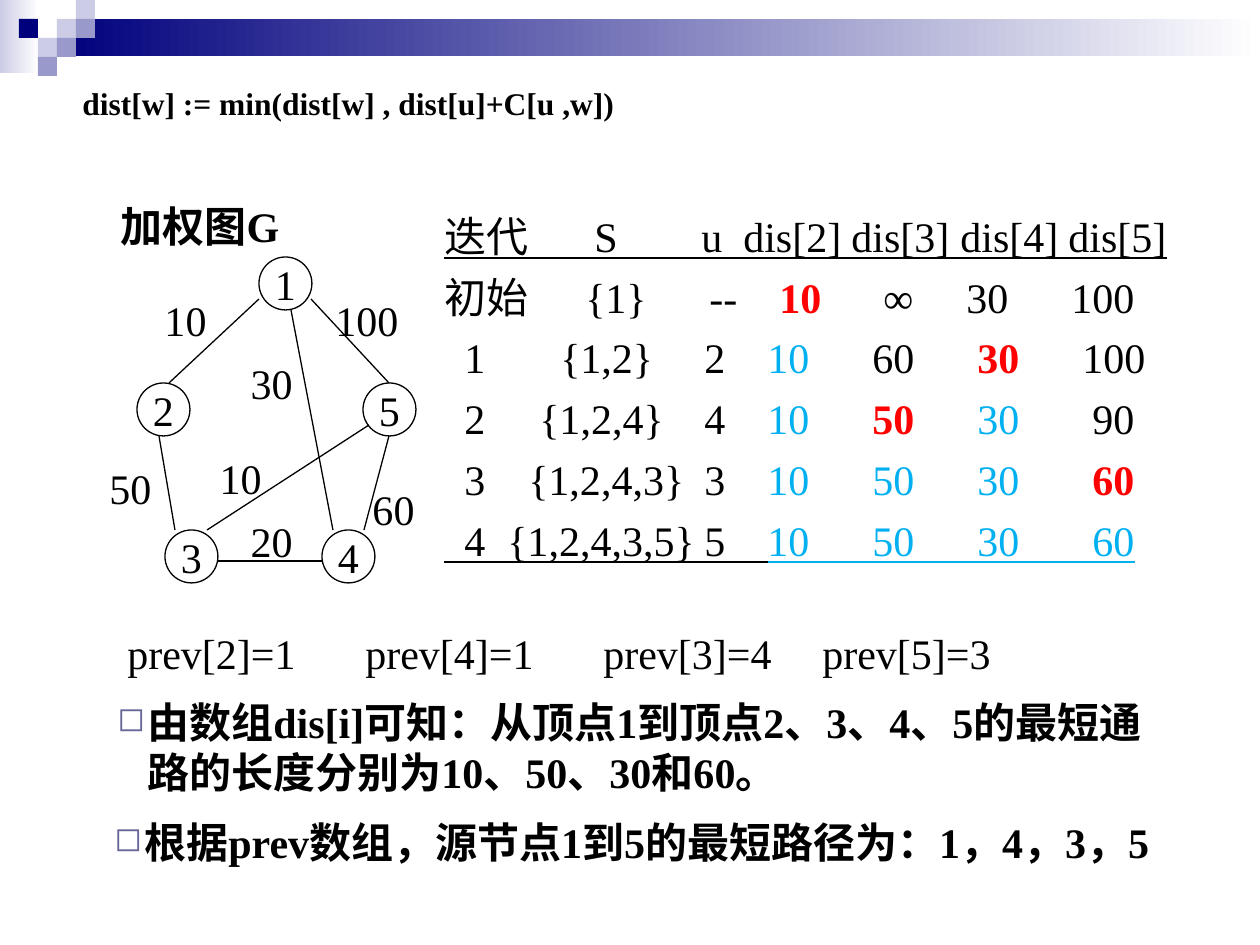
from dataclasses import dataclass

from lxml.etree import SubElement
from pptx import Presentation
from pptx.dml.color import RGBColor as RGB
from pptx.enum.shapes import MSO_CONNECTOR as CONN, MSO_SHAPE as SHAPE
from pptx.enum.text import MSO_ANCHOR as ANCHOR, PP_ALIGN as ALIGN
from pptx.oxml.ns import qn
from pptx.util import Emu, Pt


@dataclass(frozen=True)
class Theme:
    font: str = "Times New Roman"
    ink: str = "000000"
    red: str = "FF0000"
    blue: str = "00B0F0"
    navy: str = "00007D"
    pale: str = "CCCCE6"
    mid: str = "9999CC"
    white: str = "FFFFFF"
    bullet: str = "666699"
    body: int = 24
    formula: int = 18
    bullet_pct: int = 80
    row_gap: int = 6
    line: float = 0.75
    rule: float = 1.25


@dataclass(frozen=True)
class Run:
    text: str
    color: str = Theme.ink
    bold: bool = False


@dataclass(frozen=True)
class Row:
    stops: tuple[int, ...]
    runs: tuple[Run, ...]


@dataclass(frozen=True)
class Node:
    text: str
    x: int
    y: int


@dataclass(frozen=True)
class Line:
    x1: int
    y1: int
    x2: int
    y2: int
    color: str = Theme.ink
    weight: float = Theme.line


@dataclass(frozen=True)
class Label:
    text: str
    x: int
    y: int
    w: int = 67
    h: int = 63
    bold: bool = False
    size: int = Theme.body
    align: ALIGN = ALIGN.CENTER


T = Theme()
SCALE = 914400 / 126
CELL = 19
NODE = 53
TABLE_X, TABLE_INSET = 432, 13
HANG = 30


def px(n: int) -> Emu:
    return Emu(round(n * SCALE))


def add_run(p, run: Run, size: int = T.body) -> None:
    r = p.add_run()
    r.text = run.text
    f = r.font
    f.name, f.size, f.bold = T.font, Pt(size), run.bold
    f.color.rgb = RGB.from_string(run.color)


def add_box(s, x: int, y: int, w: int, h: int, wrap: bool = True):
    tf = s.shapes.add_textbox(px(x), px(y), px(w), px(h)).text_frame
    tf.word_wrap = wrap
    return tf


def add_block(s, x: int, y: int, w: int, h: int, color: str, fade: bool = False) -> None:
    sp = s.shapes.add_shape(SHAPE.RECTANGLE, px(x), px(y), px(w), px(h))
    sp.shadow.inherit = False
    sp.line.fill.background()
    if fade:
        sp.fill.gradient()
        sp.fill.gradient_angle = 0
        for stop, c in zip(sp.fill.gradient_stops, (color, T.white)):
            stop.color.rgb = RGB.from_string(c)
    else:
        sp.fill.solid()
        sp.fill.fore_color.rgb = RGB.from_string(color)


def add_node(s, node: Node) -> None:
    sp = s.shapes.add_shape(SHAPE.OVAL, px(node.x), px(node.y), px(NODE), px(NODE))
    sp.shadow.inherit = False
    sp.fill.background()
    sp.line.color.rgb = RGB.from_string(T.ink)
    sp.line.width = Pt(T.line)
    tf = sp.text_frame
    tf.word_wrap = False
    tf.vertical_anchor = ANCHOR.MIDDLE
    p = tf.paragraphs[0]
    p.alignment = ALIGN.CENTER
    add_run(p, Run(node.text))


def add_line(s, ln: Line) -> None:
    c = s.shapes.add_connector(CONN.STRAIGHT, px(ln.x1), px(ln.y1), px(ln.x2), px(ln.y2))
    c.line.color.rgb = RGB.from_string(ln.color)
    c.line.width = Pt(ln.weight)
    SubElement(c._element.spPr, qn("a:effectLst"))


def add_label(s, lab: Label) -> None:
    tf = add_box(s, lab.x, lab.y, lab.w, lab.h, wrap=False)
    tf.vertical_anchor = ANCHOR.MIDDLE
    p = tf.paragraphs[0]
    p.alignment = lab.align
    add_run(p, Run(lab.text, bold=lab.bold), lab.size)


def add_rows(s, rows: tuple[Row, ...]) -> None:
    tf = add_box(s, TABLE_X, 204, 766, 368)
    for i, row in enumerate(rows):
        p = tf.add_paragraph() if i else tf.paragraphs[0]
        tabs = SubElement(p._p.get_or_add_pPr(), qn("a:tabLst"))
        for x in row.stops:
            SubElement(tabs, qn("a:tab"), pos=str(px(x - TABLE_X - TABLE_INSET)), algn="l")
        if i:
            p.space_before = Pt(T.row_gap)
        for run in row.runs:
            add_run(p, run)


def add_bullet(s, x: int, y: int, text: str) -> None:
    p = add_box(s, x, y, 1084, 113).paragraphs[0]
    pPr = p._p.get_or_add_pPr()
    pPr.set("marL", str(px(HANG)))
    pPr.set("indent", str(-px(HANG)))
    SubElement(SubElement(pPr, qn("a:buClr")), qn("a:srgbClr"), val=T.bullet)
    SubElement(pPr, qn("a:buSzPct"), val=str(T.bullet_pct * 1000))
    SubElement(pPr, qn("a:buChar"), char="◻")
    add_run(p, Run(text, bold=True))


def hot(text: str) -> Run:
    return Run(text, T.red, bold=True)


def done(text: str) -> Run:
    return Run(text, T.blue)


STOPS = (705, 768, 873, 978)
SQUARES = ((3, 1, T.pale), (4, 0, T.pale), (4, 1, T.mid), (2, 2, T.pale),
           (1, 1, T.navy), (3, 2, T.mid), (2, 3, T.mid))
ROWS = (
    Row((595, 702, 744, 852, 961, 1069),
        (Run("迭代\tS\tu\tdis[2]\tdis[3]\tdis[4]\tdis[5]"),)),
    Row((586, 710, 780, 884, 967, 1072),
        (Run("初始\t{1}\t--\t"), hot("10"), Run("\t∞\t30\t100"))),
    Row((465, 561, *STOPS, 1083),
        (Run("\t1\t{1,2}\t2\t"), done("10"), Run("\t60\t"), hot("30"), Run("\t100"))),
    Row((465, 540, *STOPS, 1093),
        (Run("\t2\t{1,2,4}\t4\t"), done("10\t"), hot("50"), done("\t30"), Run("\t90"))),
    Row((465, 529, *STOPS, 1093),
        (Run("\t3\t{1,2,4,3}\t3\t"), done("10\t50\t30\t"), hot("60"))),
    Row((465, 508, *STOPS, 1093),
        (Run("\t4\t{1,2,4,3,5}\t5\t"), done("10\t50\t30\t60"))),
)
RULES = (Line(444, 258, 1167, 258, T.ink, T.rule), Line(444, 562, 768, 562, T.ink, T.rule),
         Line(768, 562, 1135, 562, T.blue, T.rule))
NODES = (Node("1", 259, 257), Node("2", 137, 383), Node("5", 363, 383),
         Node("4", 322, 530), Node("3", 165, 530))
EDGES = (Line(259, 299, 169, 383), Line(159, 436, 175, 530), Line(217, 561, 322, 561),
         Line(389, 436, 364, 530), Line(311, 299, 389, 383), Line(291, 310, 333, 530),
         Line(207, 530, 369, 425))
LABELS = (
    Label("10", 152, 288), Label("20", 238, 509), Label("50", 97, 456),
    Label("100", 323, 288, 88), Label("30", 238, 351), Label("10", 207, 446),
    Label("60", 360, 477), Label("加权图G", 103, 194, 194, bold=True),
    Label("dist[w] := min(dist[w] , dist[u]+C[u ,w])", 70, 78, 565, 50,
          bold=True, size=T.formula, align=ALIGN.LEFT),
    *(Label(text, x, 621, 200, align=ALIGN.LEFT) for text, x in (
        ("prev[2]=1", 115), ("prev[4]=1", 353), ("prev[3]=4", 591), ("prev[5]=3", 810))),
)


def main() -> None:
    prs = Presentation()
    prs.slide_width, prs.slide_height = px(1260), px(945)
    s = prs.slides.add_slide(prs.slide_layouts[6])
    add_block(s, 0, 0, 39, 73, T.pale, fade=True)
    add_block(s, 57, 19, 1203, 37, T.navy, fade=True)
    for col, row, color in SQUARES:
        add_block(s, col * CELL, row * CELL, CELL, CELL, color)
    add_rows(s, ROWS)
    for node in NODES:
        add_node(s, node)
    for line in RULES + EDGES:
        add_line(s, line)
    for lab in LABELS:
        add_label(s, lab)
    add_bullet(s, 105, 690, "由数组dis[i]可知：从顶点1到顶点2、3、4、5的最短通路的长度分别为10、50、30和60。")
    add_bullet(s, 102, 810, "根据prev数组，源节点1到5的最短路径为：1，4，3，5")
    prs.save("out.pptx")


if __name__ == "__main__":
    main()
